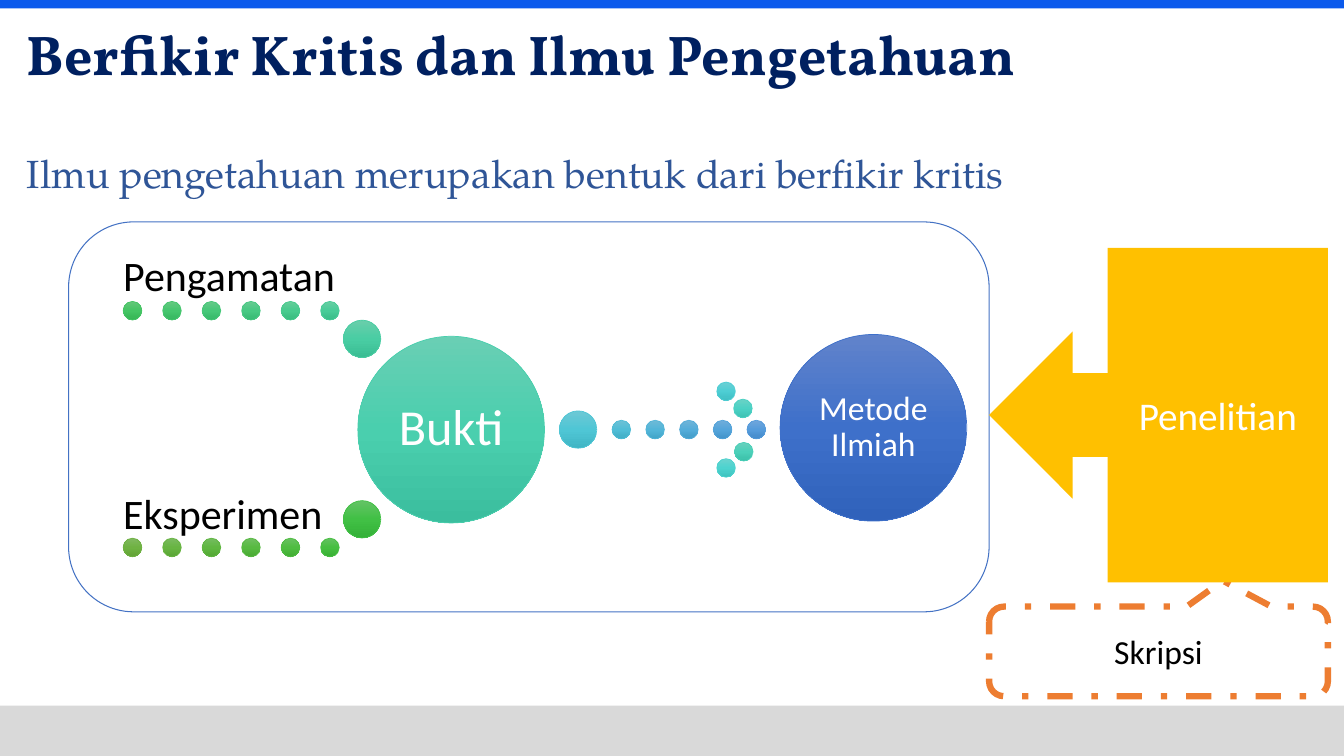
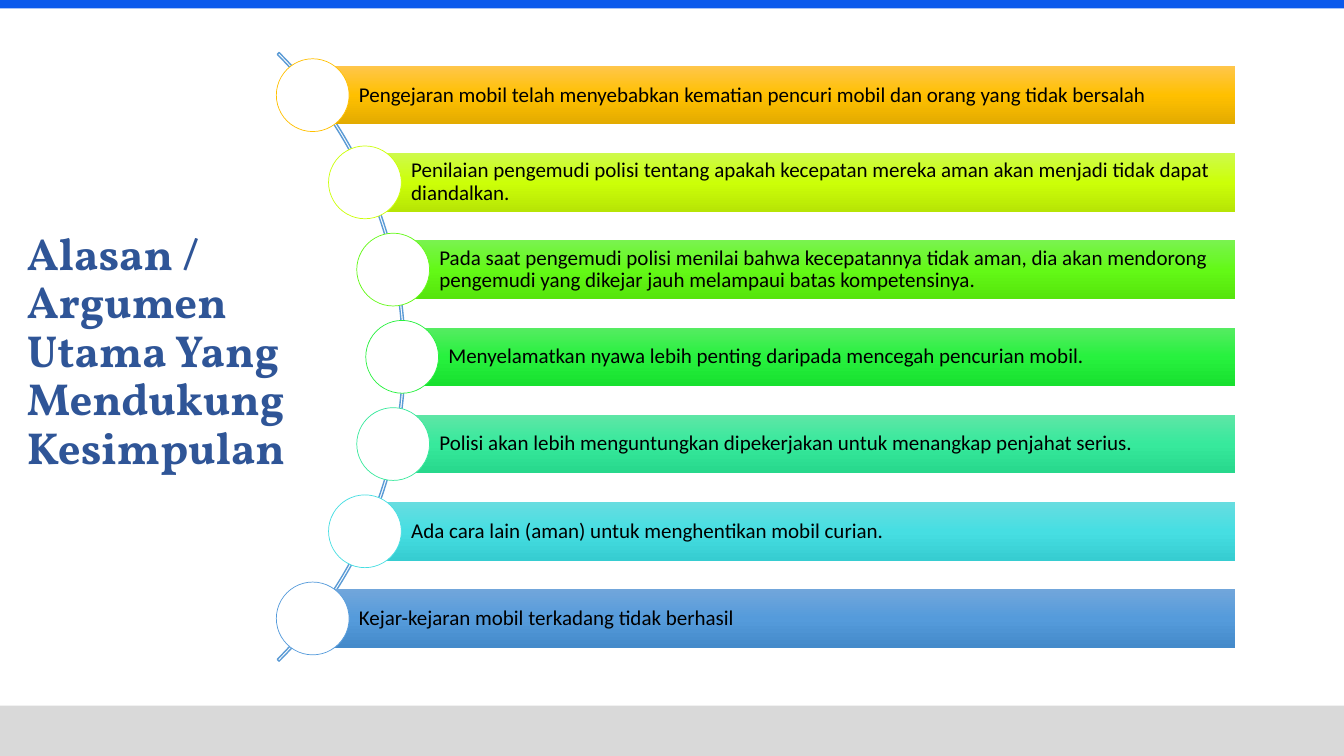
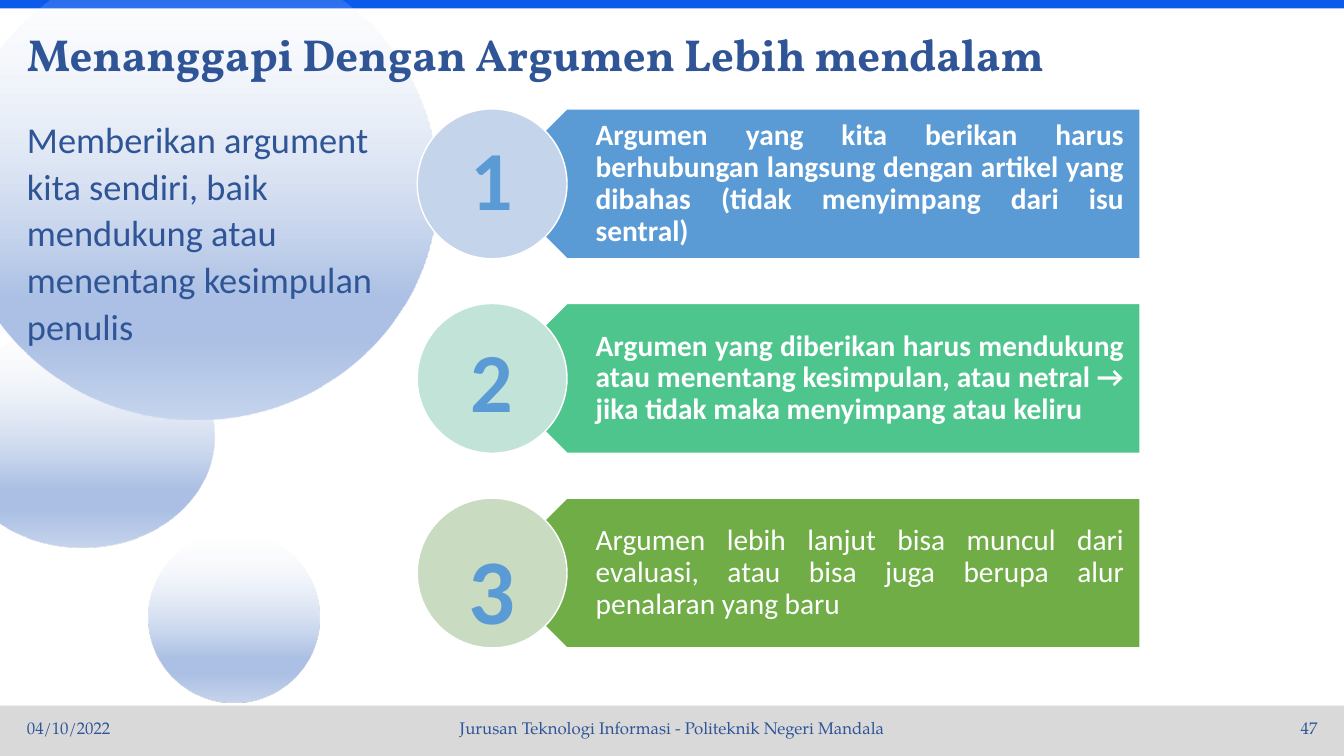
from math import sqrt

from lxml.etree import SubElement
from pptx import Presentation
from pptx.dml.color import RGBColor
from pptx.enum.dml import MSO_LINE
from pptx.enum.shapes import MSO_SHAPE as Preset
from pptx.enum.text import MSO_ANCHOR as Anchor, PP_ALIGN as Align
from pptx.oxml.ns import qn
from pptx.util import Pt

NAVY, BLUE, SKY = "002060", "2F5597", "5B9BD5"
WHITE, BLACK = "FFFFFF", "000000"
BODY_FONT, SERIF_FONT, TITLE_FONT = "Calibri", "TeX Gyre Pagella", "Vollkorn"
SHADE_STOPS = (0, 50, 100)
TITLE_BOX = (12.2, 13.7, 870, 54)


def add_shape(slide, preset, box, fill=None, line=None, width=0.5):
    """Add a preset shape; fill is a hex colour or a dict of stop position to hex colour."""
    shape = slide.shapes.add_shape(preset, *map(Pt, box))
    shape.shadow.inherit = False
    if isinstance(fill, dict):
        shape.fill.gradient()
        shape.fill.gradient_angle = 270
        stops = shape._element.spPr.find(qn("a:gradFill")).find(qn("a:gsLst"))
        stops.clear()
        for position, colour in fill.items():
            stop = SubElement(stops, qn("a:gs"), pos=str(position * 1000))
            SubElement(stop, qn("a:srgbClr"), val=colour)
    elif fill:
        shape.fill.solid()
        shape.fill.fore_color.rgb = RGBColor.from_string(fill)
    else:
        shape.fill.background()
    if line:
        shape.line.color.rgb = RGBColor.from_string(line)
        shape.line.width = Pt(width)
    else:
        shape.line.fill.background()
    return shape


def add_text(target, text, size, colour, font=BODY_FONT, bold=False, align=Align.LEFT,
             anchor=Anchor.MIDDLE, insets=(7.2, 3.6, 7.2, 3.6), spacing=0.9, box=None):
    """Write text into a shape, or into a new text box when target is a slide and box is given."""
    shape = target.shapes.add_textbox(*map(Pt, box)) if box else target
    frame = shape.text_frame
    frame.word_wrap = True
    frame.vertical_anchor = anchor
    frame.margin_left, frame.margin_top, frame.margin_right, frame.margin_bottom = map(Pt, insets)
    paragraph = frame.paragraphs[0]
    paragraph.alignment = align
    paragraph.line_spacing = spacing
    run = paragraph.add_run()
    run.text = text
    run.font.size = Pt(size)
    run.font.name = font
    run.font.bold = bold
    run.font.color.rgb = RGBColor.from_string(colour)


presentation = Presentation()
presentation.slide_width, presentation.slide_height = Pt(960), Pt(540)
slides = [presentation.slides.add_slide(presentation.slide_layouts[6]) for _ in range(3)]
for slide in slides:
    add_shape(slide, Preset.RECTANGLE, (0, 504, 960, 36), "D9D9D9")
    add_shape(slide, Preset.RECTANGLE, (0, 0, 960, 6), "0B5AEC")
science_slide, reasons_slide, response_slide = slides

# Slide 1: from evidence to the scientific method
add_shape(science_slide, Preset.ROUNDED_RECTANGLE, (49, 158.5, 657.5, 278.5), None, "4472C4", 0.75)
add_text(science_slide, "Berfikir Kritis dan Ilmu Pengetahuan", 40, NAVY, TITLE_FONT, True,
         box=TITLE_BOX)
add_text(science_slide, "Ilmu pengetahuan merupakan bentuk dari berfikir kritis", 28, BLUE,
         SERIF_FONT, anchor=Anchor.TOP, box=(12.2, 106.6, 940, 50))

SMALL_DOT, BIG_DOT, CIRCLE = 13.3, 26.7, 133.3
dot_rows = [
    (88, 215.3, 28.2, ["65C67A 44C564 36B555", "65C881 45C66E 37B760", "66C989 46C879 37B86A",
                       "67CA92 47C983 38B974", "67CC9A 47CB8E 39BB7F", "68CDA3 48CC98 3ABC89"]),
    (88, 384.4, 28.2, ["81B861 6FB242 62A336", "7BBA61 68B542 5AA536", "75BC61 60B741 53A835",
                       "70BE61 57BA41 4BAA35", "6AC062 4FBD41 42AD34", "65C162 46BF41 39AF34"]),
    (437.2, 300.2, 24.1, ["6EC1D6 50BDD6 41ADC5", "6FBAD7 52B5D8 41A4C7", "70B4D8 53ACD9 429CC8",
                          "70ADDA 54A4DA 4393C9", "71A6DB 559BDB 448ACA"]),
]
circles = [(left + index * pitch, top, SMALL_DOT, shades)
           for left, top, pitch, row in dot_rows for index, shades in enumerate(row)]
circles += [
    (512, 272.9, SMALL_DOT, "6CCFD4 4ECED4 3FBEC3"),
    (524, 285.1, SMALL_DOT, "6BD2C6 4CD1C4 3DC1B3"),
    (524.6, 316, SMALL_DOT, "6AD0BD 4BD0B9 3CC0A9"),
    (512, 327.6, SMALL_DOT, "6CD3CF 4DD3CF 3EC2BE"),
    (399.6, 293.5, BIG_DOT, "6DC8D5 4FC6D5 40B5C4"),
    (245.3, 228.7, BIG_DOT, "69CEAB 49CDA3 3ABD93"),
    (245.3, 357.6, BIG_DOT, "63C365 41C045 34B138"),
]
for left, top, size, shades in circles:
    colours = shades.split()
    add_shape(science_slide, Preset.OVAL, (left, top, size, size),
              dict(zip(SHADE_STOPS, colours)), colours[1])

for label, size, left, top, shades in [
    ("Bukti", 36, 255.6, 240.2, "69CFB4 4ACFAE 3BBE9E"),
    ("Metode Ilmiah", 24, 557.2, 238.9, "6183CB 3E70CA 3062BB"),
]:
    colours = shades.split()
    circle = add_shape(science_slide, Preset.OVAL, (left, top, CIRCLE, CIRCLE),
                       dict(zip(SHADE_STOPS, colours)), colours[1])
    add_text(circle, label, size, WHITE, align=Align.CENTER, insets=(4, 4, 4, 4))
for label, top in [("Pengamatan", 181), ("Eksperimen", 350.4)]:
    add_text(science_slide, label, 30, BLACK, anchor=Anchor.BOTTOM, insets=(0, 0, 0, 0),
             box=(88, top, 154, 34))

thesis = add_shape(science_slide, Preset.ROUNDED_RECTANGULAR_CALLOUT, (706.5, 433.3, 242, 64),
                   None, "ED7D31", 4.5)
thesis.adjustments[0], thesis.adjustments[1] = 0.19, -0.79
thesis.line.dash_style = MSO_LINE.DASH_DOT
add_text(thesis, "Skripsi", 24, BLACK, align=Align.CENTER, spacing=1)
research = add_shape(science_slide, Preset.LEFT_ARROW_CALLOUT, (706.5, 177, 242, 239), "FFC000")
add_text(research, "Penelitian", 28, WHITE, align=Align.CENTER, spacing=1)

# Slide 2: reasons along an arc
add_text(reasons_slide, "Alasan / Argumen Utama Yang Mendukung Kesimpulan", 32, BLUE,
         TITLE_FONT, True, box=(12.2, 0, 222.5, 504))
ARC_X, ARC_Y, ARC_RADIUS, NODE_RADIUS = -18, 254.9, 307.4, 305.3
arc = add_shape(reasons_slide, Preset.BLOCK_ARC,
                (ARC_X - ARC_RADIUS, ARC_Y - ARC_RADIUS, 2 * ARC_RADIUS, 2 * ARC_RADIUS),
                None, SKY, 1)
for index, value in enumerate((189, 27, 0.003)):
    arc.adjustments[index] = value

BAR_RIGHT, BAR_HEIGHT, BAR_PITCH, NODE = 882.4, 41.8, 62.3, 52
reasons = [
    ("Pengejaran mobil telah menyebabkan kematian pencuri mobil dan orang yang tidak bersalah",
     "FFC64B FFC000 E3AB00"),
    ("Penilaian pengemudi polisi tentang apakah kecepatan mereka aman akan menjadi tidak dapat "
     "diandalkan.", "CEFA4C CCFF08 B7E505"),
    ("Pada saat pengemudi polisi menilai bahwa kecepatannya tidak aman, dia akan mendorong "
     "pengemudi yang dikejar jauh melampaui batas kompetensinya.", "7AF350 63F916 56E50C"),
    ("Menyelamatkan nyawa lebih penting daripada mencegah pencurian mobil.",
     "56EC62 27F13E 18E02F"),
    ("Polisi akan lebih menguntungkan dipekerjakan untuk menangkap penjahat serius.",
     "5EE6A6 37E99C 27D88C"),
    ("Ada cara lain (aman) untuk menghentikan mobil curian.", "67DDE0 46DEE2 36CDD1"),
    ("Kejar-kejaran mobil terkadang tidak berhasil", "71A6DB 559BDB 448ACA"),
]
for index, (reason, shades) in enumerate(reasons):
    colours = shades.split()
    offset = (index - len(reasons) // 2) * BAR_PITCH
    x, y = ARC_X + sqrt(NODE_RADIUS ** 2 - offset ** 2), ARC_Y + offset
    bar = add_shape(reasons_slide, Preset.RECTANGLE,
                    (x, y - BAR_HEIGHT / 2, BAR_RIGHT - x, BAR_HEIGHT),
                    dict(zip(SHADE_STOPS, colours)))
    add_text(bar, reason, 15, BLACK, insets=(33, 3, 3, 3))
    add_shape(reasons_slide, Preset.OVAL, (x - NODE / 2, y - NODE / 2, NODE, NODE),
              WHITE, colours[1])

# Slide 3: numbered arguments
for box in [(-35.3, 231.8, 188.6, 159.1), (-32.4, -33.8, 344.9, 333.4), (106.2, 380.4, 122, 121)]:
    bubble = add_shape(response_slide, Preset.OVAL, box,
                       {0: "F6F8FC", 74: "ABC0E4", 83: "ABC0E4", 100: "C7D5ED"})
    first_colour = next(bubble._element.spPr.iter(qn("a:srgbClr")))
    SubElement(first_colour, qn("a:alpha"), val="0")
add_text(response_slide, "Menanggapi Dengan Argumen Lebih mendalam", 32, BLUE, TITLE_FONT, True,
         box=TITLE_BOX)
add_text(response_slide, "Memberikan argument kita sendiri, baik mendukung atau menentang "
         "kesimpulan penulis", 26, BLUE, anchor=Anchor.TOP, spacing=1.07,
         box=(12.2, 77.8, 285, 418))
for text, left, width, align in [
    ("04/10/2022", 12.2, 216, Align.LEFT),
    ("Jurusan Teknologi Informasi - Politeknik Negeri Mandala", 228.2, 504, Align.CENTER),
    ("47", 732.2, 216, Align.RIGHT),
]:
    add_text(response_slide, text, 12, BLUE, SERIF_FONT, align=align, spacing=1,
             box=(left, 505.4, width, 28.8))

STEP_TOP, STEP_PITCH, STEP_HEIGHT = 77.8, 139, 107
steps = [
    ("1", 60, -5, SKY, "C4D5EB", True,
     "Argumen yang kita berikan harus berhubungan langsung dengan artikel yang dibahas "
     "(tidak menyimpang dari isu sentral)"),
    ("2", 60, 0, "4DC58D", "C2E4D8", True,
     "Argumen yang diberikan harus mendukung atau menentang kesimpulan, atau netral → "
     "jika tidak maka menyimpang atau keliru"),
    ("3", 66, 10, "70AD47", "C9DBC1", False,
     "Argumen lebih lanjut bisa muncul dari evaluasi, atau bisa juga berupa alur penalaran "
     "yang baru"),
]
for index, (number, size, drop, colour, tint, bold, argument) in enumerate(steps):
    top = STEP_TOP + index * STEP_PITCH
    banner = add_shape(response_slide, Preset.PENTAGON, (351.4, top, 463, STEP_HEIGHT),
                       colour, WHITE, 1)
    banner.rotation = 180
    add_text(response_slide, argument, 21, WHITE, bold=bold, align=Align.JUSTIFY,
             insets=(47.5, 6.5, 11.5, 6.5), box=(378, top, 436.4, STEP_HEIGHT))
    add_shape(response_slide, Preset.OVAL, (298, top, STEP_HEIGHT, STEP_HEIGHT), tint, WHITE, 1)
    add_text(response_slide, number, size, SKY, bold=True, align=Align.CENTER,
             insets=(0, 0, 0, 0), spacing=1, box=(298, top + drop, STEP_HEIGHT, STEP_HEIGHT))

presentation.save("out.pptx")
